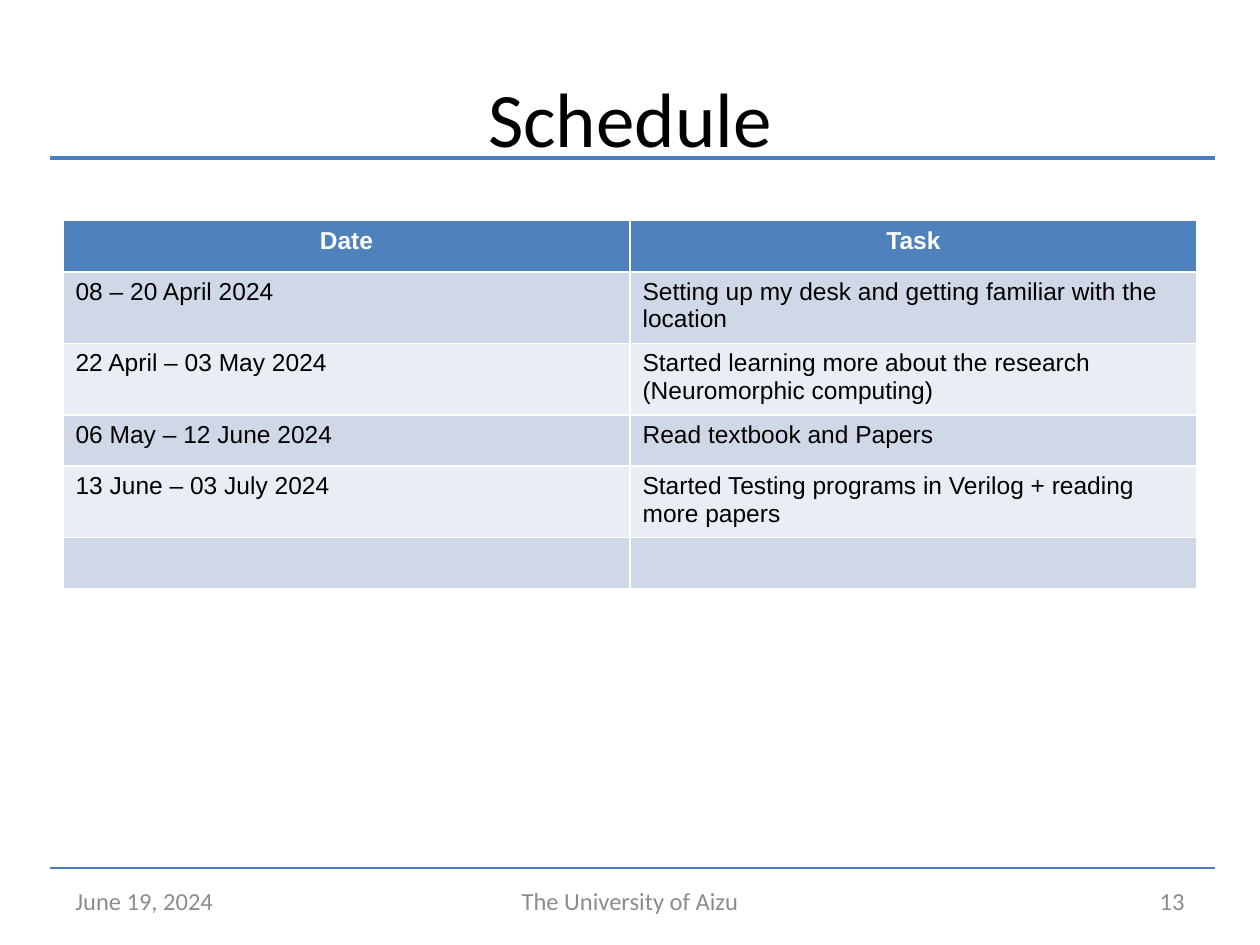
from dataclasses import dataclass

from lxml import etree
from pptx import Presentation
from pptx.dml.color import RGBColor
from pptx.enum.shapes import MSO_CONNECTOR
from pptx.enum.text import MSO_ANCHOR, PP_ALIGN
from pptx.oxml.ns import qn
from pptx.util import Cm, Pt

STRAIGHT = MSO_CONNECTOR.STRAIGHT
MIDDLE = MSO_ANCHOR.MIDDLE
LEFT, CENTER, RIGHT = PP_ALIGN.LEFT, PP_ALIGN.CENTER, PP_ALIGN.RIGHT


@dataclass(frozen=True)
class Theme:
    """Colours, fonts and type sizes of the slide."""
    heading_font: str = "Calibri"
    table_font: str = "Arial"
    title_size: int = 44
    text_size: int = 14
    black: str = "000000"
    white: str = "FFFFFF"
    rule: str = "4B7EBC"
    header: str = "4F81BD"
    bands: tuple = ("D0D8E8", "E9EDF4")
    footer: str = "8C8C8C"
    page: str = "898989"


THEME = Theme()
SCHEDULE = [
    ("Date", "Task"),
    ("08 – 20 April 2024", "Setting up my desk and getting familiar with the location"),
    ("22 April – 03 May 2024", "Started learning more about the research (Neuromorphic computing)"),
    ("06 May – 12 June 2024", "Read textbook and Papers"),
    ("13 June – 03 July 2024", "Started Testing programs in Verilog + reading more papers"),
    ("", ""),
]
FOOTER = [
    (1.27, 5.93, "June 19, 2024", LEFT, THEME.footer),
    (8.68, 8.04, "The University of Aizu", CENTER, THEME.footer),
    (18.2, 5.93, "13", RIGHT, THEME.page),
]


def write(tf, text, align, font, size, color, bold=False):
    """Write one formatted run into the first paragraph of a text frame."""
    p = tf.paragraphs[0]
    p.alignment = align
    r = p.add_run()
    r.text = text
    r.font.name = font
    r.font.size = Pt(size)
    r.font.bold = bold
    r.font.color.rgb = RGBColor.from_string(color)


def add_rule(s, y, width):
    """Draw a horizontal rule across the slide."""
    line = s.shapes.add_connector(STRAIGHT, Cm(1), Cm(y), Cm(24.5), Cm(y))
    line.line.color.rgb = RGBColor.from_string(THEME.rule)
    line.line.width = Pt(width)
    etree.SubElement(line._element.spPr, qn("a:effectLst"))


def set_title(s, text):
    """Place and fill the title placeholder."""
    sp = s.shapes.title
    sp.left, sp.top, sp.width, sp.height = Cm(1.27), Cm(0.76), Cm(22.86), Cm(3.18)
    sp.text_frame.vertical_anchor = MIDDLE
    write(sp.text_frame, text, CENTER, THEME.heading_font, THEME.title_size, THEME.black)


def add_footer_text(s, left, width, text, align, color):
    """Add one text box to the footer row."""
    tf = s.shapes.add_textbox(Cm(left), Cm(17.65), Cm(width), Cm(1.02)).text_frame
    tf.word_wrap = True
    tf.vertical_anchor = MIDDLE
    write(tf, text, align, THEME.heading_font, THEME.text_size, color)


def add_schedule(s, rows):
    """Add the schedule table with a header row and banded body rows."""
    table = s.shapes.add_table(len(rows), len(rows[0]), Cm(1.27), Cm(4.45),
                               Cm(22.86), Cm(1.03 * len(rows))).table
    for i, row in enumerate(rows):
        is_header = i == 0
        fill = THEME.header if is_header else THEME.bands[(i - 1) % 2]
        color = THEME.white if is_header else THEME.black
        align = CENTER if is_header else LEFT
        for j, text in enumerate(row):
            cell = table.cell(i, j)
            cell.fill.solid()
            cell.fill.fore_color.rgb = RGBColor.from_string(fill)
            if text:
                write(cell.text_frame, text, align, THEME.table_font,
                      THEME.text_size, color, is_header)


def main():
    """Build the schedule slide and save it."""
    prs = Presentation()
    prs.slide_width, prs.slide_height = Cm(25.4), Cm(19.05)
    s = prs.slides.add_slide(prs.slide_layouts[5])
    add_rule(s, 17.5, 1.5)
    add_rule(s, 3.18, 2.25)
    set_title(s, "Schedule")
    for item in FOOTER:
        add_footer_text(s, *item)
    add_schedule(s, SCHEDULE)
    prs.save("out.pptx")


if __name__ == "__main__":
    main()
